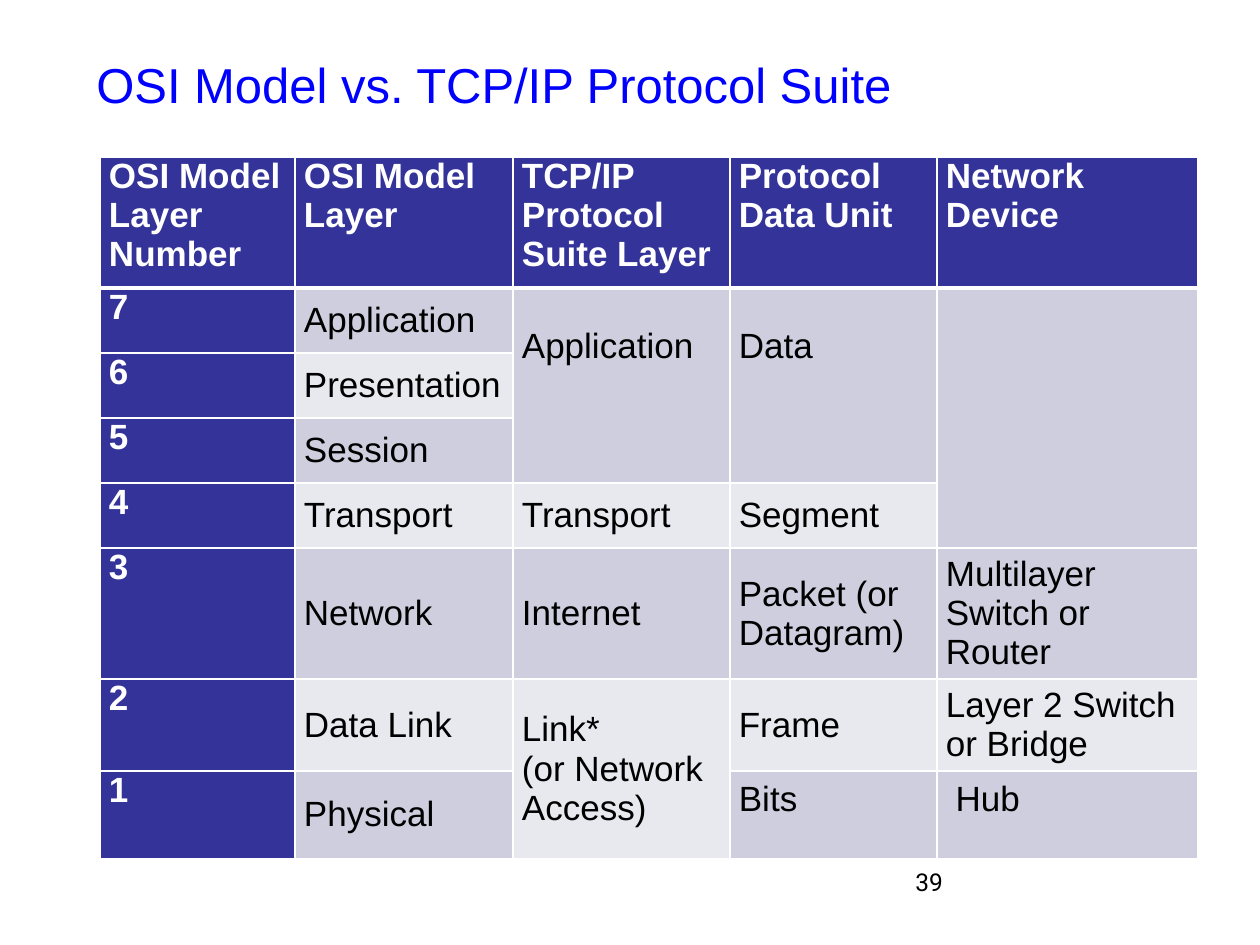
import pptx
import pptx.util
import pptx.dml.color
import pptx.enum.text
import pptx.oxml
from pptx.oxml.ns import nsdecls

COLORS = {
    "title": "0000FF", "header": "333399", "odd": "CECEDE", "even": "E8E8EF",
    "border": "FFFFFF", "light_text": "FFFFFF", "dark_text": "000000",
}
TITLE = "OSI Model vs. TCP/IP Protocol Suite"
PAGE_NUMBER = "39"
ROWS = [
    ["OSI Model Layer Number", "OSI Model Layer", "TCP/IP Protocol Suite Layer",
     "Protocol Data Unit", "Network Device"],
    ["7", "Application", "Application", "Data", ""],
    ["6", "Presentation", "", "", ""],
    ["5", "Session", "", "", ""],
    ["4", "Transport", "Transport", "Segment", ""],
    ["3", "Network", "Internet", "Packet (or Datagram)", "Multilayer Switch or Router"],
    ["2", "Data Link", "Link*\n(or Network Access)", "Frame", "Layer 2 Switch or Bridge"],
    ["1", "Physical", "", "Bits", "\u00a0Hub"],
]
COLUMN_WIDTHS = [195, 218, 217, 207, 261]
ROW_HEIGHTS = [131, 65, 65, 65, 65, 131, 92, 88]
MERGES = [(1, 3, 2), (1, 3, 3), (1, 4, 4), (6, 7, 2)]  # first row, last row, column
RAISED = {(1, 2): 78, (1, 3): 78, (7, 3): 32, (7, 4): 32}  # bottom margin lifting the text
CELL_MARGIN = 9


def px(length):
    return pptx.util.Emu(round(length * 914400 / 126))


def rgb(name):
    return pptx.dml.color.RGBColor.from_string(COLORS[name])


def format_text(frame, size, font, color, bold=False):
    for para in frame.paragraphs:
        para.alignment = pptx.enum.text.PP_ALIGN.LEFT
        for span in para.runs:
            span.font.size = pptx.util.Pt(size)
            span.font.name = font
            span.font.bold = bold
            span.font.color.rgb = rgb(color)


def add_text(page, text, left, top, width, height, size, font, color, wrap):
    box = page.shapes.add_textbox(px(left), px(top), px(width), px(height))
    box.text_frame.word_wrap = wrap
    box.text_frame.text = text
    format_text(box.text_frame, size, font, color)


def set_borders(cell, widths):
    """Draw the cell's sides; widths maps L, R, T and B to points."""
    properties = cell._tc.get_or_add_tcPr()
    for side, width in widths.items():
        properties.append(pptx.oxml.parse_xml(
            f'<a:ln{side} {nsdecls("a")} w="{pptx.util.Pt(width)}"><a:solidFill>'
            f'<a:srgbClr val="{COLORS["border"]}"/></a:solidFill></a:ln{side}>'))


def fill_cell(cell, text, row, column):
    heading = row == 0 or column == 0
    set_borders(cell, {"L": 1, "R": 1, "T": 3 if row == 1 else 1, "B": 3 if row == 0 else 1})
    cell.fill.solid()
    cell.fill.fore_color.rgb = rgb("header" if heading else "odd" if row % 2 else "even")
    cell.margin_left = cell.margin_right = px(CELL_MARGIN)
    cell.margin_top = 0
    cell.margin_bottom = px(RAISED.get((row, column), 0))
    anchor = pptx.enum.text.MSO_ANCHOR
    cell.vertical_anchor = anchor.TOP if heading else anchor.MIDDLE
    if text:
        cell.text_frame.text = text
        format_text(cell.text_frame, 20, "Arial",
                    "light_text" if heading else "dark_text", heading)


def add_layer_table(page):
    frame = page.shapes.add_table(len(ROWS), len(COLUMN_WIDTHS), px(100), px(157),
                                  px(sum(COLUMN_WIDTHS)), px(sum(ROW_HEIGHTS)))
    table = frame.table
    for column, width in zip(table.columns, COLUMN_WIDTHS):
        column.width = px(width)
    for row, height in zip(table.rows, ROW_HEIGHTS):
        row.height = px(height)
    for first, last, column in MERGES:
        table.cell(first, column).merge(table.cell(last, column))
    for row, texts in enumerate(ROWS):
        for column, text in enumerate(texts):
            fill_cell(table.cell(row, column), text, row, column)


def main():
    deck = pptx.Presentation()
    deck.slide_width, deck.slide_height = px(1260), px(945)
    page = deck.slides.add_slide(deck.slide_layouts[6])
    add_text(page, PAGE_NUMBER, 903, 861, 294, 65, 14, "Roboto", "dark_text", True)
    add_layer_table(page)
    add_text(page, TITLE, 84, 48, 843, 72, 28, "Arial", "title", False)
    deck.save("out.pptx")


if __name__ == "__main__":
    main()
